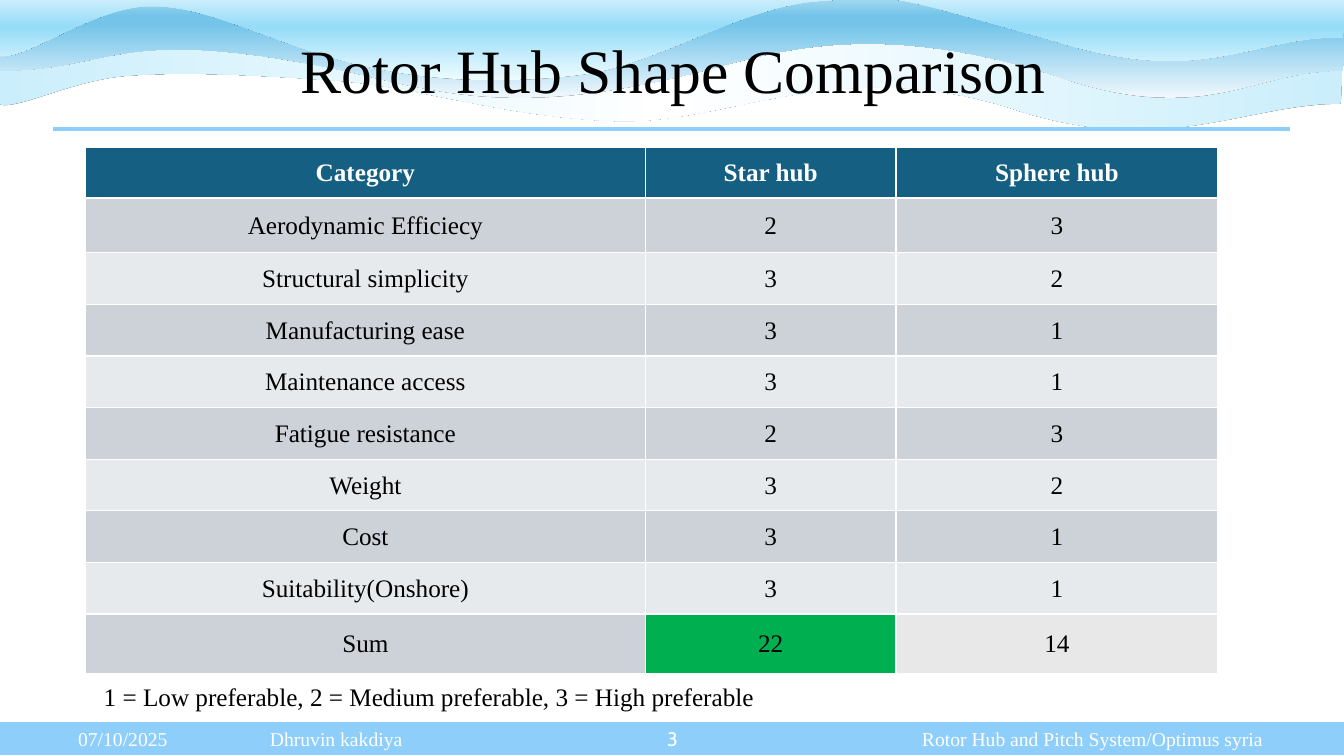
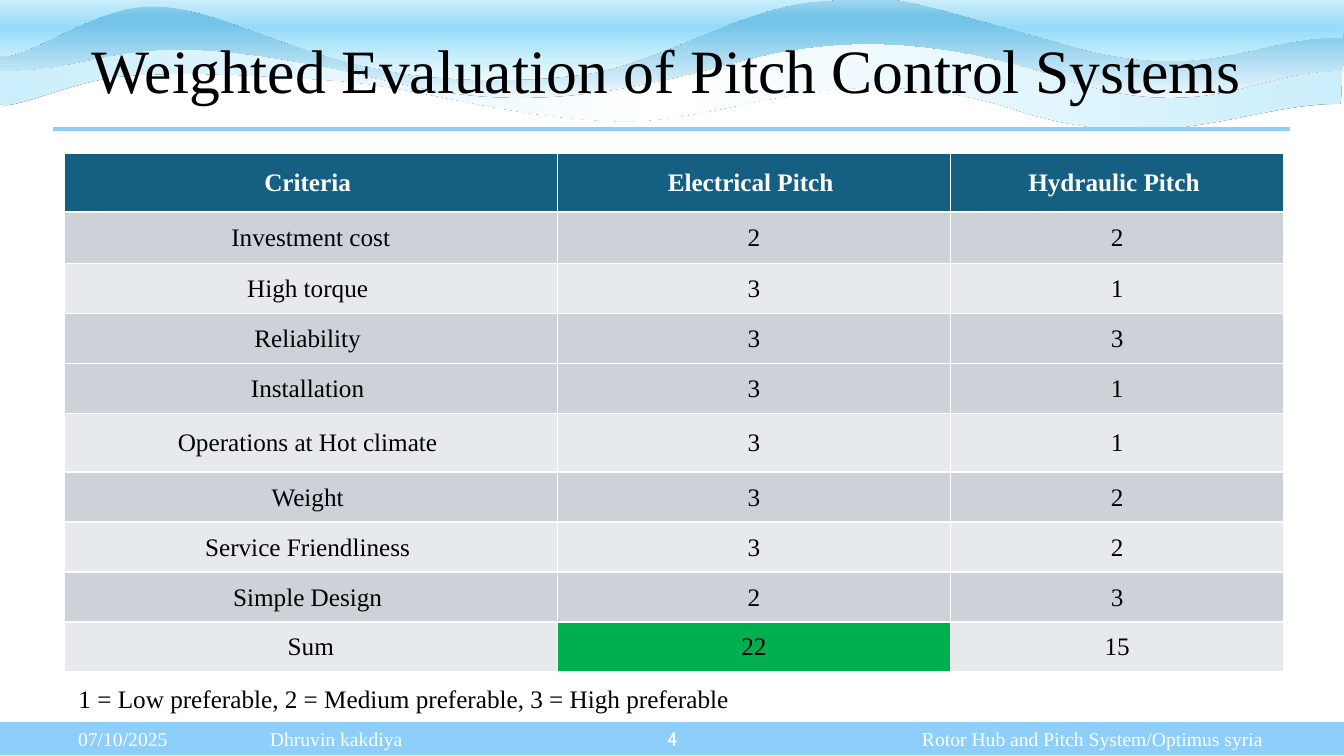
from lxml import etree
from pptx import Presentation
from pptx.dml.color import RGBColor
from pptx.enum.shapes import MSO_CONNECTOR, MSO_SHAPE
from pptx.enum.text import MSO_ANCHOR, MSO_AUTO_SIZE, PP_ALIGN
from pptx.oxml.ns import qn
from pptx.util import Pt

RECTANGLE, STRAIGHT = MSO_SHAPE.RECTANGLE, MSO_CONNECTOR.STRAIGHT
MIDDLE, TOP, NO_AUTOSIZE = MSO_ANCHOR.MIDDLE, MSO_ANCHOR.TOP, MSO_AUTO_SIZE.NONE
LEFT, CENTER, RIGHT = PP_ALIGN.LEFT, PP_ALIGN.CENTER, PP_ALIGN.RIGHT

COLORS = {
    "black": "000000", "white": "FFFFFF", "sky": "8ECEFA", "header": "156082",
    "dark": "CCD2D8", "light": "E7EAED", "winner": "00B050", "gray": "E8E8E8",
    "pale": "CAEEFB", "mist": "F0F8FD", "blue": "74C4E9", "soft": "A2D8F0",
    "ice": "EFFCFF", "cyan": "96DCF8",
}
SERIF, SANS = "Times New Roman", "Cabin"
WIDTH, HEIGHT = 960, 540
NO_MARGINS = {"margin_left": 0, "margin_right": 0, "margin_top": 0, "margin_bottom": 0}
CELL_FORMAT = {"margin_left": Pt(0.7), "margin_right": Pt(0.7), "margin_top": Pt(0.7),
               "margin_bottom": 0, "vertical_anchor": MIDDLE}
LEGEND = "1 = Low preferable, 2 = Medium preferable, 3 = High preferable"
FOOTER = "07/10/2025\tDhruvin kakdiya\tRotor Hub and Pitch System/Optimus syria"
FOOTER_TABS = [(137, "l"), (846.5, "r")]

WAVES = [
    {"box": (-2.9, 21.6, 961.9, 70.6), "start": (957.6, 74.2),
     "curves": [((890.6, 73.4), (829.4, 114.5), (719.3, 76.3)),
                ((595.4, 38.9), (519.1, 89.3), (439.2, 86.4)),
                ((359.3, 83.5), (303.1, 62.6), (241.2, 57.6)),
                ((179.3, 53.3), (131.8, 51.1), (91.4, 54)),
                ((51.1, 56.9), (10.1, 79.9), (-1.4, 74.2)),
                ((-1.4, 57.6), (-2.9, 38.2), (-2.9, 21.6))],
     "edge": [(225.4, 22.3), (469.4, 24.5), (677.5, 23), (959, 24.5)],
     "closing": ((959, 39.6), (959, 57.6)),
     "stops": [(0, "pale"), (50, "white"), (100, "pale")], "angle": 0},
    {"box": (0, -0.7, 960, 70.6), "start": (959, 50.4),
     "curves": [((892.1, 50.4), (861.1, 92.2), (751.7, 53.3)),
                ((627.1, 14.4), (556.6, 36), (508.3, 49)),
                ((380.2, 82.1), (330.5, 70.6), (249.1, 51.1)),
                ((81.4, 15.8), (82.8, 50.4), (0, 50.4)),
                ((0, 33.8), (0.7, 17.3), (0.7, 0))],
     "edge": [(225.4, 0.7), (470.9, -0.7), (681.1, 0), (959.8, 2.9)],
     "closing": ((959.8, 18.7), (960.5, 33.8)),
     "stops": [(0, "mist"), (74, "blue"), (83, "blue"), (100, "soft")], "angle": 270},
    {"box": (-2.2, -18.7, 961.9, 76.3), "start": (959, 26.6),
     "curves": [((892.1, 25.9), (861.1, 63.4), (751.7, 28.8)),
                ((627.8, -5.8), (641.5, -3.6), (585.4, 0.7)),
                ((529.2, 4.3), (470.2, 46.1), (414.7, 53.3)),
                ((358.6, 60.5), (305.3, 58.3), (249.8, 44.6)),
                ((185.8, 27.4), (149, 4.3), (108, 4.3)),
                ((66.2, 4.3), (15.8, 45.4), (-2.2, 39.6)),
                ((-1.4, 24.5), (0.7, -2.9), (0.7, -18))],
     "edge": [(225.4, -17.3), (470.9, -18.7), (681.1, -18), (959.8, -15.8)],
     "closing": ((959.8, -2.2), (960.5, 11.5)),
     "stops": [(0, "ice"), (50, "cyan"), (100, "white")], "angle": 270},
]

SLIDES = [
    {"number": "3", "title": "Rotor Hub Shape Comparison", "title_box": (67, 0, 828, 104.5),
     "origin": (61, 105.5), "columns": [400, 179, 230],
     "heights": [36, 39] + [36.9] * 7 + [42.3],
     "bands": ["dark", "light"] * 4 + ["dark"], "loser": "gray",
     "rows": [("Category", "Star hub", "Sphere hub"),
              ("Aerodynamic Efficiecy", "2", "3"), ("Structural simplicity", "3", "2"),
              ("Manufacturing ease", "3", "1"), ("Maintenance access", "3", "1"),
              ("Fatigue resistance", "2", "3"), ("Weight", "3", "2"), ("Cost", "3", "1"),
              ("Suitability(Onshore)", "3", "1"), ("Sum", "22", "14")],
     "legend_box": (67, 483, 488, 29)},
    {"number": "4", "title": "Weighted Evaluation of Pitch Control Systems",
     "title_box": (58, 0, 837, 104.5),
     "origin": (46, 109.5), "columns": [352, 281, 238],
     "heights": [42, 36.7] + [35.7] * 3 + [42] + [35.7] * 4,
     "bands": ["dark", "light", "dark"] + ["dark", "light"] * 3, "loser": "light",
     "rows": [("Criteria ", "Electrical Pitch ", "Hydraulic Pitch "),
              ("Investment cost", "2", "2"), ("High torque ", "3", "1"),
              ("Reliability ", "3", "3"), ("Installation ", "3", "1"),
              ("Operations at Hot climate ", "3", "1"), ("Weight ", "3", "2"),
              ("Service Friendliness ", "3", "2"), ("Simple Design ", "2", "3"),
              ("Sum", "22", "15")],
     "legend_box": (49, 484.5, 565, 29)},
]


def rgb(name):
    """Return the palette colour with this name."""
    return RGBColor.from_string(COLORS[name])


def apply(target, values):
    """Set each attribute in the dict on the target."""
    for attribute, value in values.items():
        setattr(target, attribute, value)


def points(*values):
    """Convert numbers to point lengths."""
    return [Pt(value) for value in values]


def write(frame, text, size, color="black", font=SERIF, align=LEFT, bold=False,
          tabs=(), spacing=None):
    """Fill a text frame with one formatted paragraph."""
    frame.text = text
    paragraph = frame.paragraphs[0]
    if tabs:
        tab_list = etree.SubElement(paragraph._p.get_or_add_pPr(), qn("a:tabLst"))
        for position, side in tabs:
            etree.SubElement(tab_list, qn("a:tab"), pos=str(Pt(position)), algn=side)
    apply(paragraph, {"alignment": align, "line_spacing": spacing})
    apply(paragraph.font, {"name": font, "size": Pt(size), "bold": bold})
    paragraph.font.color.rgb = rgb(color)


def add_label(slide, box, text, size, anchor=TOP, wrap=True, **style):
    """Add a text box."""
    frame = slide.shapes.add_textbox(*points(*box)).text_frame
    apply(frame, {"word_wrap": wrap, "vertical_anchor": anchor})
    write(frame, text, size, **style)


def draw_curves(ribbon, wave):
    """Give the ribbon its curved outline, turned half round in its box."""
    left, top, width, height = wave["box"]
    outline = ribbon.element.spPr.find(".//" + qn("a:path"))
    for command in list(outline):
        outline.remove(command)
    steps = [("moveTo", [wave["start"]])]
    steps += [("cubicBezTo", curve) for curve in wave["curves"]]
    steps += [("lnTo", [corner]) for corner in wave["edge"]]
    steps += [("cubicBezTo", [*wave["closing"], wave["start"]]), ("close", [])]
    for kind, spots in steps:
        command = etree.SubElement(outline, qn(f"a:{kind}"))
        for x, y in spots:
            etree.SubElement(command, qn("a:pt"), x=str(Pt(left + width - x)),
                             y=str(Pt(top + height - y)))
    ribbon.rotation = 180


def add_wave(slide, wave):
    """Draw one gradient wave of the header."""
    left, top, width, height = wave["box"]
    right, bottom = left + width, top + height
    builder = slide.shapes.build_freeform(*points(left, top))
    builder.add_line_segments([points(right, top), points(right, bottom),
                               points(left, bottom)], close=True)
    ribbon = builder.convert_to_shape()
    draw_curves(ribbon, wave)
    ribbon.line.fill.background()
    ribbon.shadow.inherit = False
    ribbon.fill.gradient()
    ribbon.fill.gradient_angle = wave["angle"]
    properties = ribbon.element.spPr
    stop_list = properties.find(".//" + qn("a:gsLst"))
    for stop in list(stop_list):
        stop_list.remove(stop)
    for position, color in wave["stops"]:
        stop = etree.SubElement(stop_list, qn("a:gs"), pos=str(position * 1000))
        etree.SubElement(stop, qn("a:srgbClr"), val=COLORS[color])
    shadow = etree.SubElement(properties.find(qn("a:effectLst")), qn("a:outerShdw"))
    etree.SubElement(shadow, qn("a:srgbClr"), val=COLORS["black"])


def add_footer(slide, box, number):
    """Draw the footer band with its texts and page number."""
    left, top, width, height = box
    band = slide.shapes.add_shape(RECTANGLE, *points(*box))
    band.shadow.inherit = False
    band.fill.solid()
    band.fill.fore_color.rgb = rgb("sky")
    band.line.color.rgb = rgb("white")
    band.line.width = Pt(1.5)
    apply(band.text_frame, {**NO_MARGINS, "margin_left": Pt(56.5), "vertical_anchor": MIDDLE})
    write(band.text_frame, FOOTER, 14, color="white", tabs=FOOTER_TABS)
    add_label(slide, (left + 470, top - 2, 22, height + 4), number, 14, anchor=MIDDLE,
              color="white", font=SANS, align=RIGHT)


def add_title(slide, box, text):
    """Draw the header rule and place the title above the waves."""
    rule = slide.shapes.add_connector(STRAIGHT, *points(38, 92, 921.5, 92))
    rule.line.color.rgb = rgb("sky")
    rule.line.width = Pt(3)
    etree.SubElement(rule.element.spPr, qn("a:effectLst"))
    title = slide.shapes.title
    apply(title, dict(zip(("left", "top", "width", "height"), points(*box))))
    apply(title.text_frame, {**NO_MARGINS, "word_wrap": True, "auto_size": NO_AUTOSIZE,
                             "vertical_anchor": MIDDLE})
    write(title.text_frame, text, 44, align=CENTER, spacing=0.9)
    title.element.getparent().append(title.element)


def add_borders(cell, top, bottom):
    """Give a cell white borders of the stated widths."""
    properties = cell._tc.get_or_add_tcPr()
    for index, (side, width) in enumerate((("L", 1), ("R", 1), ("T", top), ("B", bottom))):
        border = etree.Element(qn(f"a:ln{side}"), w=str(Pt(width)))
        fill = etree.SubElement(border, qn("a:solidFill"))
        etree.SubElement(fill, qn("a:srgbClr"), val=COLORS["white"])
        properties.insert(index, border)


def add_scores(slide, content):
    """Draw the score table with its header, bands and sum row."""
    rows, columns, heights = (content[key] for key in ("rows", "columns", "heights"))
    box = (*content["origin"], sum(columns), sum(heights))
    table = slide.shapes.add_table(len(rows), len(columns), *points(*box)).table
    table.horz_banding = False
    for column, width in zip(table.columns, columns):
        column.width = Pt(width)
    fills = [[band] * len(columns) for band in ["header", *content["bands"]]]
    fills[-1][1:] = ["winner", content["loser"]]
    for r, texts in enumerate(rows):
        table.rows[r].height = Pt(heights[r])
        is_header = r == 0
        for c, text in enumerate(texts):
            cell = table.cell(r, c)
            apply(cell, CELL_FORMAT)
            cell.fill.solid()
            cell.fill.fore_color.rgb = rgb(fills[r][c])
            write(cell.text_frame, text, 18, color="white" if is_header else "black",
                  align=CENTER, bold=is_header)
            add_borders(cell, 1.5 if r == 1 else 1, 1.5 if is_header else 1)


def add_comparison(presentation, content):
    """Build one comparison slide."""
    slide = presentation.slides.add_slide(presentation.slide_layouts[5])
    for wave in WAVES:
        add_wave(slide, wave)
    add_footer(slide, (-0.7, 515, WIDTH + 1.2, 25), content["number"])
    add_title(slide, content["title_box"], content["title"])
    add_scores(slide, content)
    add_label(slide, content["legend_box"], LEGEND, 18)


def main():
    """Build and save the presentation."""
    presentation = Presentation()
    presentation.slide_width, presentation.slide_height = points(WIDTH, HEIGHT)
    for content in SLIDES:
        add_comparison(presentation, content)
    presentation.save("out.pptx")


if __name__ == "__main__":
    main()
